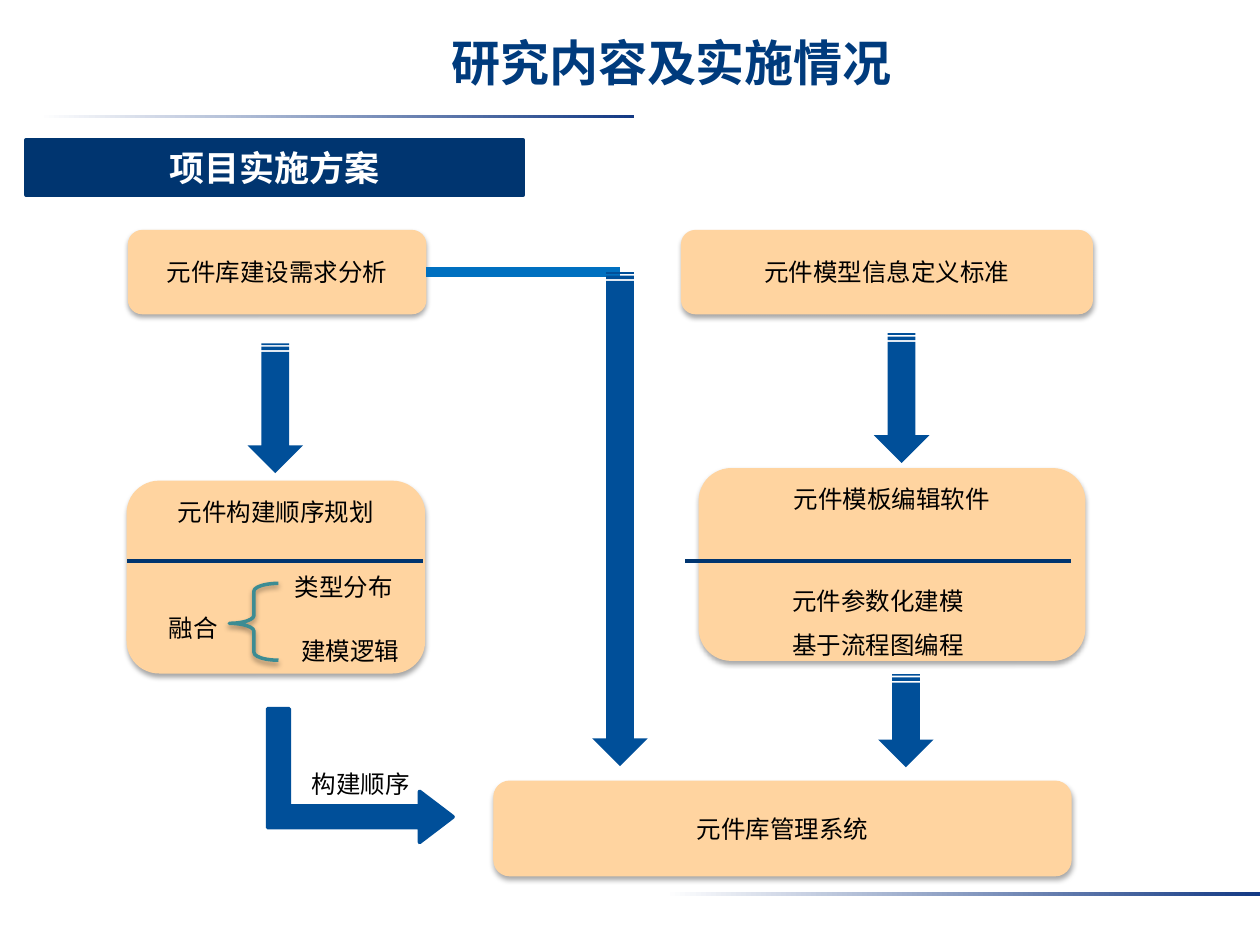
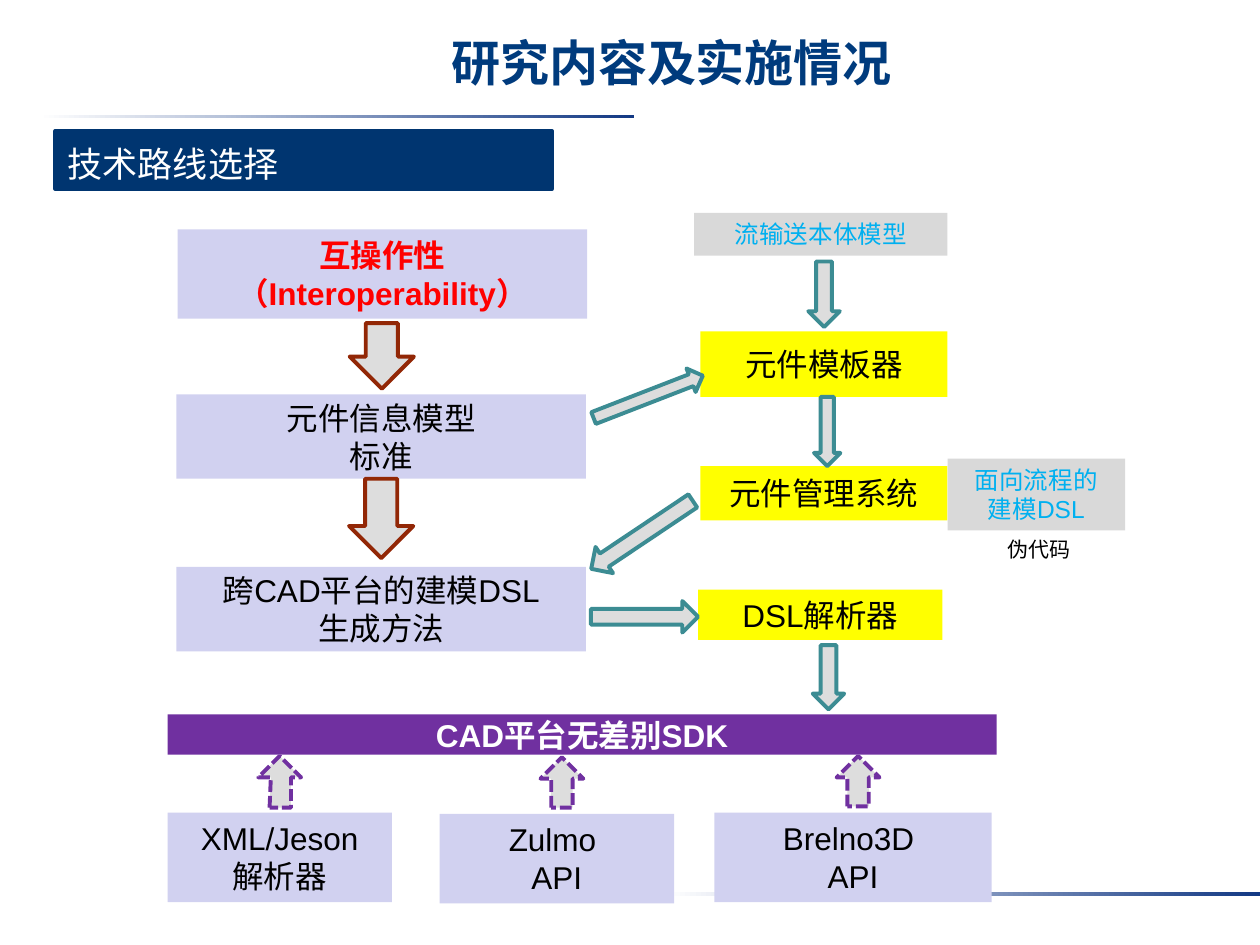
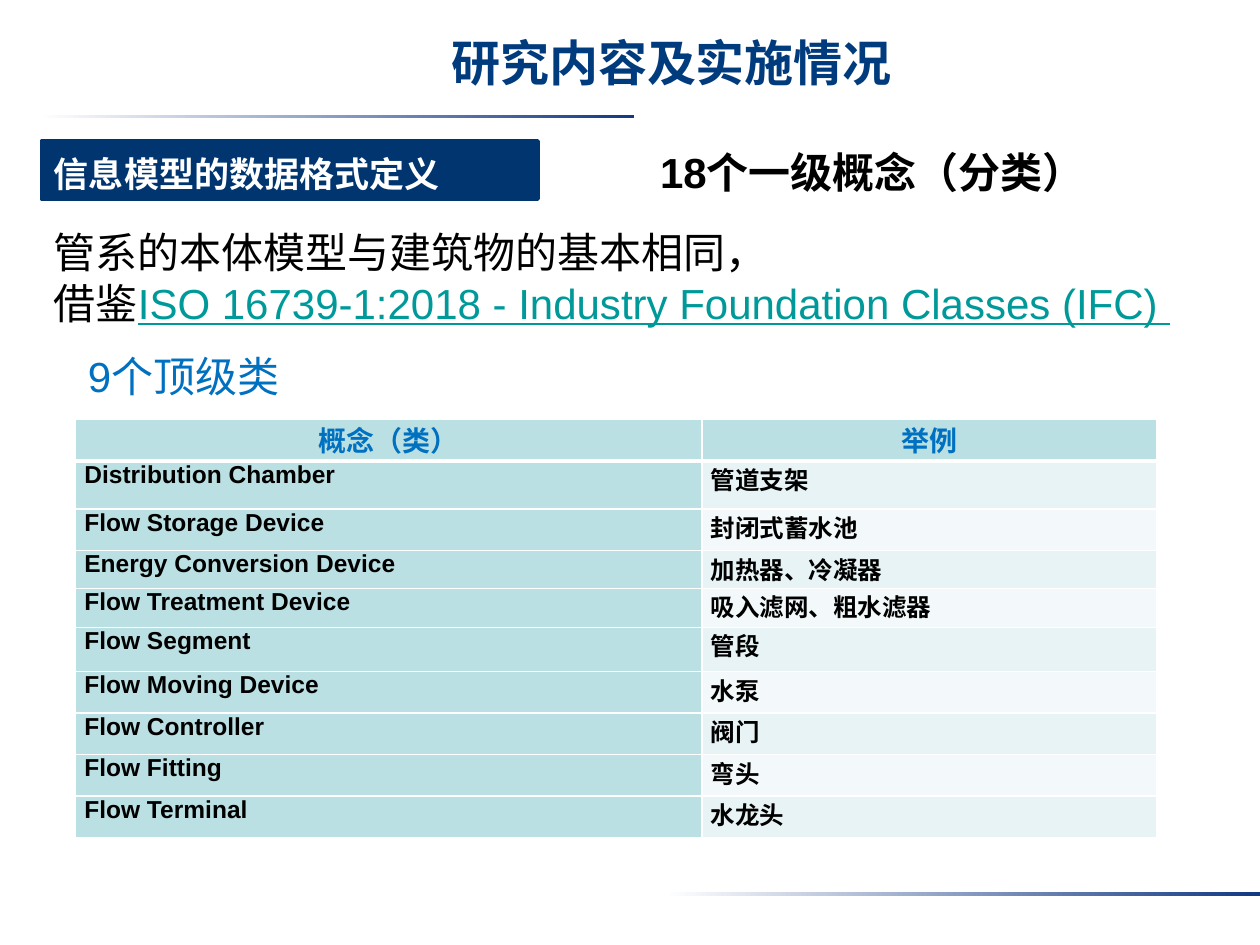
from dataclasses import dataclass

from lxml.etree import SubElement
from pptx import Presentation
from pptx.dml.color import RGBColor as RGB
from pptx.enum.dml import MSO_LINE as Dash
from pptx.enum.shapes import MSO_CONNECTOR as Link, MSO_SHAPE as Kind
from pptx.enum.text import MSO_ANCHOR as Anchor, PP_ALIGN as Align
from pptx.oxml.ns import qn
from pptx.util import Emu, Pt

PX = 9144  # 100 px to the inch


@dataclass(frozen=True)
class Theme:
    white: str = "FFFFFF"
    black: str = "000000"
    title: str = "003B7D"
    navy: str = "003570"
    rule: str = "133984"
    peach: str = "FFD4A0"
    blue: str = "004F99"
    azure: str = "0070C0"
    sky: str = "00B0F0"
    teal: str = "3C8C93"
    link: str = "009999"
    lilac: str = "D1D1F0"
    red: str = "FF0000"
    rust: str = "922706"
    purple: str = "7030A0"
    yellow: str = "FFFF00"
    gray: str = "D9D9D9"
    steel: str = "DDDDDD"
    head: str = "BBE0E3"
    odd: str = "E7F3F4"
    even: str = "F3F9FA"
    latin: str = "Arial"
    hans: str = "Noto Sans CJK SC"
    kanji: str = "Noto Sans CJK JP"
    huge: int = 28
    big: int = 24
    band: int = 20
    body: int = 18
    cell: int = 16
    note: int = 14
    tiny: int = 12


T = Theme()


def px(*nums):
    return [Emu(n * PX) for n in nums]


def assign(obj, fmt):
    for key, val in fmt.items():
        setattr(obj, key, val)


def write(frame, text, size=T.body, color=T.black, font=T.latin, bold=False,
          align=Align.CENTER, gap=None, **fmt):
    """Fill a text frame; a line is a string or a list of (string, font format)."""
    assign(frame, {"word_wrap": True, "vertical_anchor": Anchor.TOP, **fmt})
    lines = text.split("\n") if isinstance(text, str) else text
    for i, line in enumerate(lines):
        para = frame.add_paragraph() if i else frame.paragraphs[0]
        assign(para, {"alignment": align, "line_spacing": gap and Pt(gap)})
        for part, look in [(line, {})] if isinstance(line, str) else line:
            run = para.add_run()
            run.text = part
            look = {"size": Pt(size), "bold": bold, "name": font, "color": color, **look}
            run.font.color.rgb = RGB.from_string(look.pop("color"))
            assign(run.font, look)
            east = T.hans if font == T.latin else font
            SubElement(run.font._element, qn("a:ea"), typeface=east)


class Deck:
    def __init__(self):
        self.prs = Presentation()
        self.prs.slide_width, self.prs.slide_height = px(1000, 750)

    def new(self, title):
        self.slide = self.prs.slides.add_slide(self.prs.slide_layouts[6])
        self.shapes = self.slide.shapes
        for left, top in (31, 91), (528, 708):
            fill = self.shape((left, top, 472, 3), None).fill
            fill.gradient()
            fill.gradient_angle = 0
            for stop, color in zip(fill.gradient_stops, (T.white, T.rule)):
                stop.color.rgb = RGB.from_string(color)
        self.text((33, 20, 1000, 75), title, size=T.huge, color=T.title,
                  font=T.kanji, bold=True, margin_top=Emu(6 * PX))

    def paint(self, shape, fill, line=None, width=2.25, dash=None, glow=None):
        """Set fill, outline and an optional soft shadow of the given opacity."""
        shape.shadow.inherit = False
        if fill:
            shape.fill.solid()
            shape.fill.fore_color.rgb = RGB.from_string(fill)
        else:
            shape.fill.background()
        if line:
            shape.line.color.rgb = RGB.from_string(line)
            assign(shape.line, {"width": Pt(width), "dash_style": dash})
        else:
            shape.line.fill.background()
        if glow:
            effects = shape._element.spPr.find(qn("a:effectLst"))
            outer = SubElement(effects, qn("a:outerShdw"), blurRad=str(Pt(3.1)),
                               dist=str(Pt(1.8)), dir="5400000", rotWithShape="0")
            ink = SubElement(outer, qn("a:srgbClr"), val=T.black)
            SubElement(ink, qn("a:alpha"), val=str(glow * 1000))

    def shape(self, box, fill, kind=Kind.RECTANGLE, turn=0, adj=(), **look):
        shape = self.shapes.add_shape(kind, *px(*box))
        shape.rotation = turn
        for i, val in enumerate(adj):
            shape.adjustments[i] = val
        self.paint(shape, fill, **look)
        return shape

    def text(self, box, text, **fmt):
        write(self.shapes.add_textbox(*px(*box)).text_frame, text, **fmt)

    def block(self, box, text, fill, **fmt):
        fmt = {"vertical_anchor": Anchor.MIDDLE, **fmt}
        write(self.shape(box, fill).text_frame, text, **fmt)

    def card(self, box, text, anchor=Anchor.MIDDLE):
        card = self.shape(box, T.peach, Kind.ROUNDED_RECTANGLE,
                          line=T.peach, width=0.75, glow=35)
        write(card.text_frame, text, size=T.note, font=T.hans, vertical_anchor=anchor)
        return card

    def label(self, box, text, gap=None):
        self.text(box, text, size=T.note, font=T.hans, gap=gap)

    def band(self, box, text, **fmt):
        bar = self.shape(box, T.navy, line=T.navy)
        write(bar.text_frame, text, vertical_anchor=Anchor.MIDDLE, size=T.band,
              color=T.white, font=T.hans, **fmt)

    def line(self, ends, color, width, start=None):
        line = self.shapes.add_connector(Link.STRAIGHT, *px(*ends))
        line.line.color.rgb = RGB.from_string(color)
        line.line.width = Pt(width)
        SubElement(line._element.spPr, qn("a:effectLst"))
        if start:
            line.begin_connect(start, 3)

    def arrow(self, box, line, turn=90, **look):
        self.shape(box, T.steel, Kind.RIGHT_ARROW, turn, line=line, **look)

    def poly(self, dots, fill, **look):
        pen = self.shapes.build_freeform(*dots[0], scale=PX)
        pen.add_line_segments(dots[1:])
        self.paint(pen.convert_to_shape(), fill, **look)

    def edge(self, cell, low):
        """Draw white cell borders; low is the bottom width in points."""
        props = cell._tc.get_or_add_tcPr()
        for i, (side, width) in enumerate(zip("LRTB", (1, 1, 1, low))):
            line = props.makeelement(qn(f"a:ln{side}"), w=str(Pt(width)))
            fill = SubElement(line, qn("a:solidFill"))
            SubElement(fill, qn("a:srgbClr"), val=T.white)
            props.insert(i, line)

    def grid(self, box, rows, cols, highs):
        table = self.shapes.add_table(len(rows), len(cols), *px(*box)).table
        for col, wide in zip(table.columns, px(*cols)):
            col.width = wide
        for r, (row, high) in enumerate(zip(rows, px(*highs))):
            table.rows[r].height = high
            for c, text in enumerate(row):
                cell = table.cell(r, c)
                side = Emu(7 * PX)
                assign(cell, {"margin_left": side, "margin_right": side,
                              "margin_top": 0, "margin_bottom": 0})
                tint = T.head if r == 0 or c == 0 else T.odd if r % 2 else T.even
                cell.fill.solid()
                cell.fill.fore_color.rgb = RGB.from_string(tint)
                self.edge(cell, 1 if r else 3)
                look = {"size": T.note, "align": Align.JUSTIFY,
                        "font": T.hans if c else T.latin}
                if r == 0:
                    look = {"size": T.cell, "color": T.azure}
                write(cell.text_frame, text, bold=True, **look)


def plan(deck):
    deck.band((21, 111, 394, 44), "项目实施方案", bold=True)
    need = deck.card((102, 183, 236, 66), "元件库建设需求分析")
    deck.card((541, 183, 326, 66), "元件模型信息定义标准")
    deck.card((392, 620, 458, 75), "元件库管理系统")

    deck.card((555, 372, 306, 152), "元件模板编辑软件", Anchor.TOP)
    deck.line((544, 445, 850, 445), T.navy, 2.25)
    deck.label((569, 449, 256, 76), "元件参数化建模\n基于流程图编程", gap=25)

    deck.card((101, 382, 236, 152), "元件构建顺序规划", Anchor.TOP)
    deck.line((101, 445, 336, 445), T.navy, 2.25)
    deck.label((218, 500, 120, 34), "建模逻辑")
    deck.label((213, 449, 120, 34), "类型分布")
    deck.label((121, 470, 65, 41), "融合", gap=25)
    deck.shape((182, 463, 39, 61), None, Kind.LEFT_BRACE, adj=(0.16, 0.52),
               line=T.teal, width=2, glow=38)

    deck.line((338, 216, 492, 216), T.azure, 6, start=need)
    for left, top, size in ((167, 302, 103), (664, 294, 103),
                            (296, 390, 392), (682, 550, 74)):
        deck.shape((left, top, size, 44), T.blue, Kind.STRIPED_RIGHT_ARROW, 90)
    deck.shape((233, 542, 106, 147), T.blue, Kind.BENT_UP_ARROW, 90,
               (0.16, 0.19, 0.25), line=T.blue)
    deck.label((228, 594, 117, 41), "构建顺序", gap=25)


def route(deck):
    deck.band((44, 104, 394, 46), "技术路线选择", align=Align.JUSTIFY, gap=28)
    deck.block((141, 182, 325, 71), "互操作性\n（Interoperability）", T.lilac,
               color=T.red, bold=True)
    for top, text in (313, "元件信息模型\n标准"), (450, "跨CAD平台的建模DSL\n生成方法"):
        deck.block((140, top, 325, 67), text, T.lilac)
    for box in (271, 386, 63, 51), (277, 257, 52, 51):
        deck.arrow(box, T.rust)

    deck.block((133, 567, 658, 32), "CAD平台无差别SDK", T.purple,
               color=T.white, bold=True)
    for box, text in (((349, 646, 186, 71), "Zulmo \nAPI"),
                      ((133, 645, 178, 71), "XML/Jeson\n解析器"),
                      ((567, 645, 220, 71), "Brelno3D \nAPI")):
        deck.block(box, text, T.lilac, vertical_anchor=Anchor.TOP)
    dashed = {"line": T.purple, "dash": Dash.SQUARE_DOT}
    for left, top in (661, 603), (426, 604):
        deck.arrow((left, top, 40, 34), turn=270, **dashed)
    deck.poly(((214, 641), (215, 617), (205, 617), (222, 600),
               (239, 617), (231, 617), (231, 641)), T.steel, **dashed)

    for box, text in (((554, 468, 194, 40), "DSL解析器"),
                      ((556, 263, 196, 52), "元件模板器"),
                      ((556, 370, 196, 43), "元件管理系统")):
        deck.block(box, text, T.yellow)
    for box, turn in (((469, 477, 85, 25), 0), ((468, 305, 93, 20), 338.8),
                      ((629, 332, 55, 21), 90), ((632, 525, 51, 25), 90),
                      ((628, 221, 52, 25), 90), ((461, 412, 97, 25), 146.2)):
        deck.arrow(box, T.teal, turn)

    for box, text in (((752, 364, 141, 57), "面向流程的\n建模DSL"),
                      ((551, 169, 201, 34), "流输送本体模型")):
        deck.block(box, text, T.gray, size=T.note, color=T.sky,
                   vertical_anchor=Anchor.TOP)
    deck.text((790, 421, 75, 30), "伪代码", size=T.tiny, align=Align.LEFT)


def data(deck):
    deck.band((33, 112, 394, 46), "信息模型的数据格式定义", bold=True,
              align=Align.JUSTIFY, gap=28)
    cite = {"color": T.link, "underline": True}
    deck.text((33, 175, 917, 131), [
        "管系的本体模型与建筑物的基本相同，",
        [("借鉴", {}), ("ISO 16739-1:2018 - Industry Foundation Classes (IFC) ", cite)],
    ], size=T.big, align=Align.LEFT)
    rows = (("概念（类）", "举例"),
            ("Distribution Chamber", "管道支架"),
            ("Flow Storage Device", "封闭式蓄水池"),
            ("Energy Conversion Device", "加热器、冷凝器"),
            ("Flow Treatment Device", "吸入滤网、粗水滤器"),
            ("Flow Segment", "管段"),
            ("Flow Moving Device", "水泵"),
            ("Flow Controller", "阀门"),
            ("Flow Fitting", "弯头"),
            ("Flow Terminal", "水龙头"))
    deck.grid((60, 333, 858, 333), rows, (497, 361),
              (33, 38, 33, 30, 31, 35, 33, 33, 33, 33))
    deck.text((494, 111, 397, 50), "18个一级概念（分类）", size=T.big, bold=True)
    deck.text((60, 273, 517, 50), "9个顶级类", size=T.big, color=T.azure,
              align=Align.LEFT)


def main():
    deck = Deck()
    for fill in plan, route, data:
        deck.new("研究内容及实施情况")
        fill(deck)
    deck.prs.save("out.pptx")


if __name__ == "__main__":
    main()
